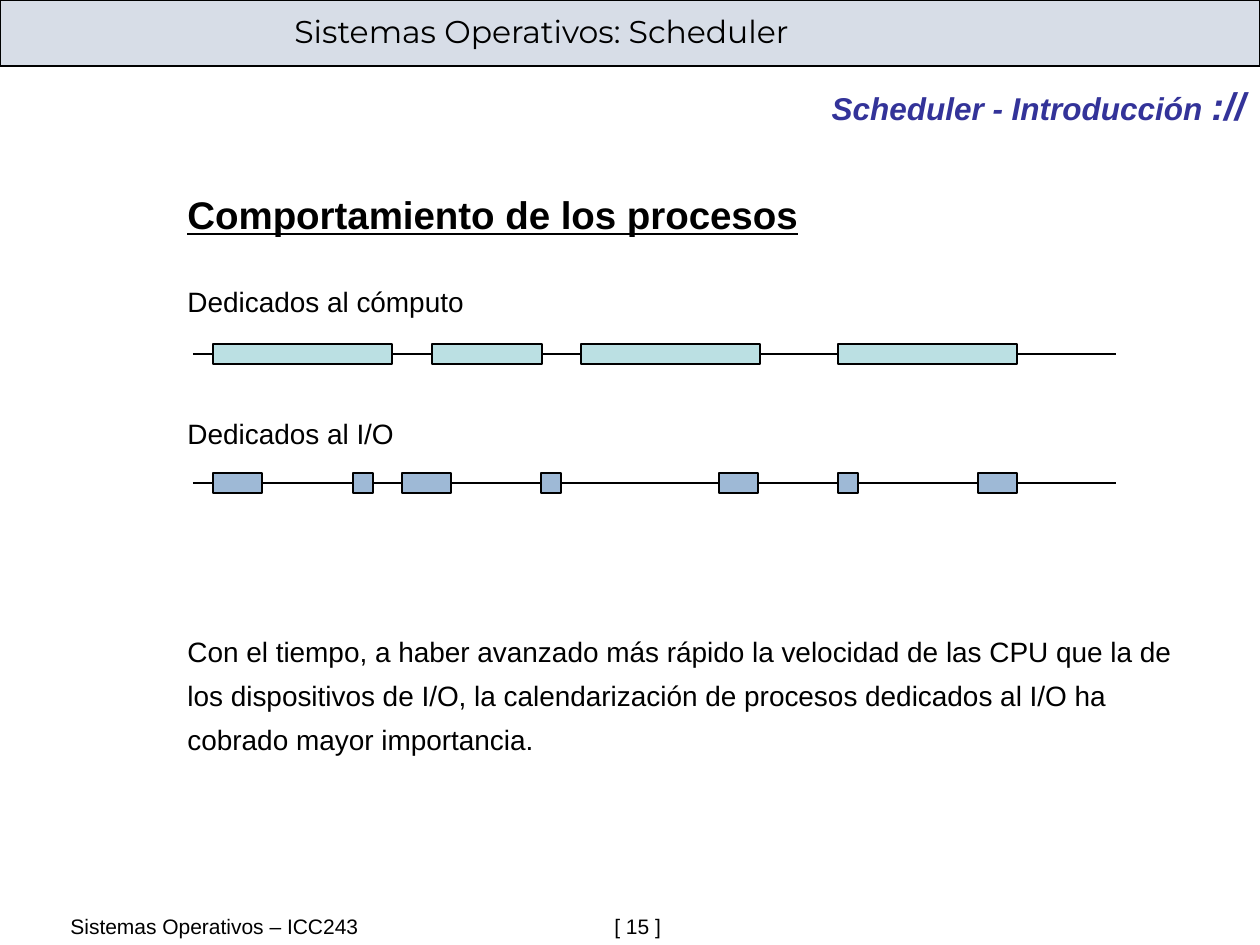
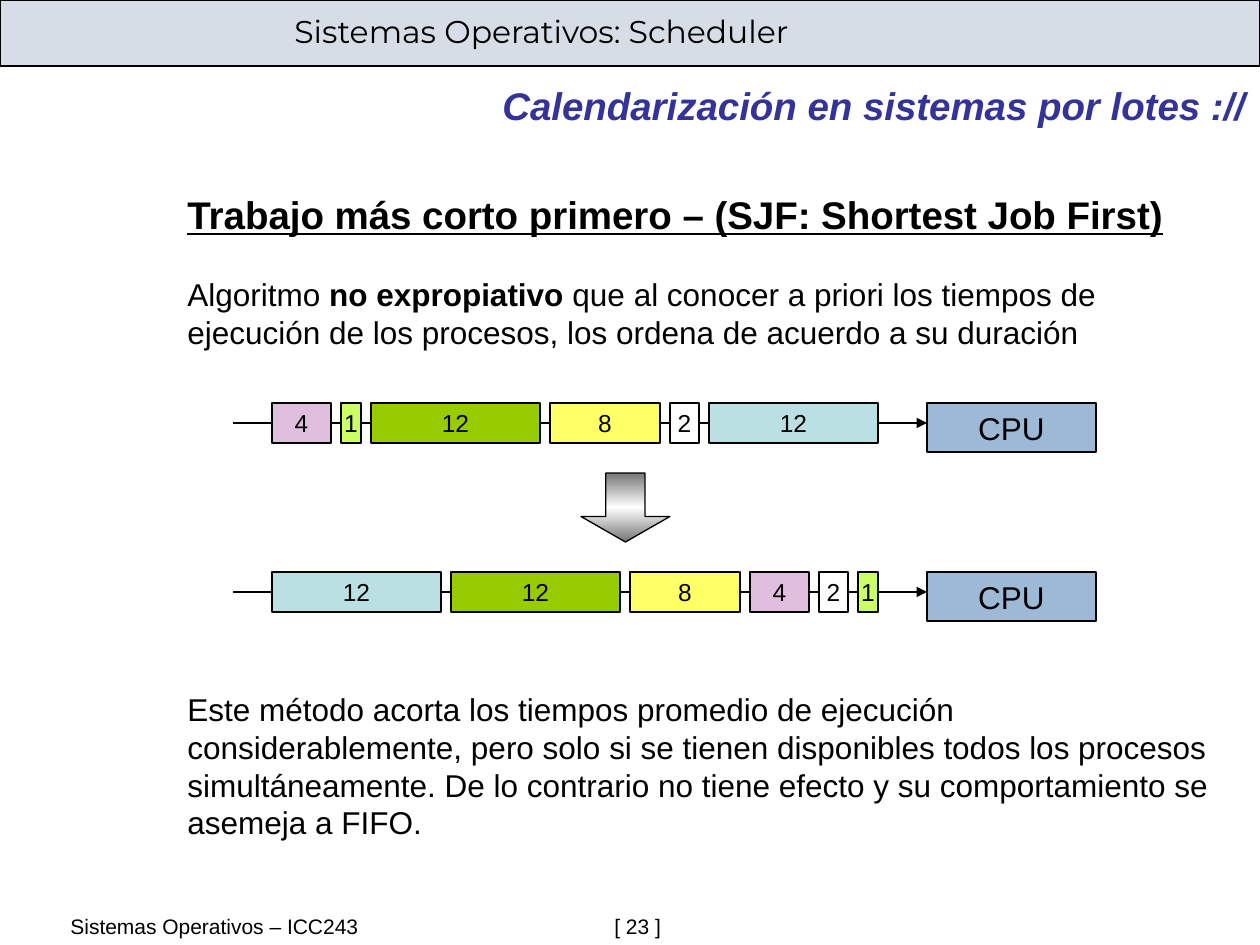
import copy

from lxml import etree
from pptx import Presentation
from pptx import util as u
from pptx.dml.color import RGBColor
from pptx.enum import shapes, text
from pptx.oxml.ns import qn

SCALE = 914400 / 126  # EMU in one px
COLORS = {
    "black": "000000", "title": "333399", "band": "D7DDE7",
    "aqua": "BBE0E3", "blue": "9EB9D6", "white": "FFFFFF",
    "yellow": "FFFF66", "pink": "E0BEDD", "lime": "CCFF66",
    "green": "99CC00", "gray": "767676",
}
COLORS = {name: RGBColor.from_string(value) for name, value in COLORS.items()}


def add_box(page, place, color, label="", size=14, kind=shapes.MSO_SHAPE.RECTANGLE):
    box = page.shapes.add_shape(kind, *[round(v * SCALE) for v in place])
    box.shadow.inherit = False
    box.fill.solid()
    box.fill.fore_color.rgb = COLORS[color]
    box.line.color.rgb = COLORS["black"]
    box.line.width = u.Pt(0.75)
    if label:
        frame = box.text_frame
        frame.text = label
        frame.word_wrap = False
        frame.vertical_anchor = text.MSO_ANCHOR.MIDDLE
        para = frame.paragraphs[0]
        para.alignment = text.PP_ALIGN.CENTER
        font = para.runs[0].font
        font.name, font.size, font.color.rgb = "Arial", u.Pt(size), COLORS["black"]
    return box


def add_line(page, left, right, y, arrow=False):
    ends = [round(v * SCALE) for v in (left, y, right, y)]
    line = page.shapes.add_connector(shapes.MSO_CONNECTOR.STRAIGHT, *ends)
    line.line.color.rgb = COLORS["black"]
    line.line.width = u.Pt(0.75)
    if arrow:
        etree.SubElement(line.line._get_or_add_ln(), qn("a:tailEnd"), type="triangle")
    etree.SubElement(line._element.spPr, qn("a:effectLst"))


deck = Presentation()
deck.slide_width = round(1260 * SCALE)
deck.slide_height = round(945 * SCALE)

# Wording: a paragraph is (space before, line spacing, spans),
# a span is (text, size, style) with style letters b, i, u
contents = [
    {
        "number": 15,
        "title": [("Scheduler - Introducción ", 18, "bi"), ("://", 22, "bi")],
        "body": [
            (0, 1, [("Comportamiento de los procesos", 22, "bu")]),
            (21.5, 1.3, [("Dedicados al cómputo", 16, "")]),
            (50, 1.3, [("Dedicados al I/O", 16, "")]),
            (100, 1.3, [("Con el tiempo, a haber avanzado más rápido la velocidad de "
                         "las CPU que la de los dispositivos de I/O, la calendarización "
                         "de procesos dedicados al I/O ha cobrado mayor importancia.",
                         16, "")]),
        ],
    },
    {
        "number": 23,
        "title": [("Calendarización en sistemas por lotes ://", 22, "bi")],
        "body": [
            (0, 1, [("Trabajo más corto primero – (SJF: Shortest Job First)", 22, "bu")]),
            (21.5, 1, [("Algoritmo ", 18, ""), ("no expropiativo", 18, "b"),
                       (" que al conocer a priori los tiempos de ejecución de los "
                        "procesos, los ordena de acuerdo a su duración", 18, "")]),
            (194, 1, [("Este método acorta los tiempos promedio de ejecución "
                       "considerablemente, pero solo si se tienen disponibles todos los "
                       "procesos simultáneamente. De lo contrario no tiene efecto y su "
                       "comportamiento se asemeja a FIFO.", 18, "")]),
        ],
    },
]

# Band, header, footer, title and body of every slide
pages = []
for content in contents:
    page = deck.slides.add_slide(deck.slide_layouts[6])
    pages.append(page)
    add_box(page, (0, 0, 1260, 66), "band")
    header = [(0, 1, [("Sistemas Operativos: Scheduler", 18, "")])]
    footer = [(0, 1, [(f"Sistemas Operativos – ICC243\t[ {content['number']} ]", 12, "")])]
    title = [(0, 1, content["title"])]
    for role, place, paragraphs in (
        ("header", (282, 6, 973, 50), header),
        ("footer", (58, 907, 1155, 38), footer),
        ("title", (184, 76, 1074, 59), title),
        ("body", (175, 185, 1050, 620), content["body"]),
    ):
        box = page.shapes.add_textbox(*[round(v * SCALE) for v in place])
        frame = box.text_frame
        frame.word_wrap = True
        for index, (before, spacing, spans) in enumerate(paragraphs):
            para = frame.add_paragraph() if index else frame.paragraphs[0]
            if before:
                para.space_before = u.Pt(before)
            para.line_spacing = spacing
            if role == "title":
                para.alignment = text.PP_ALIGN.RIGHT
            if role == "footer":
                tabs = etree.SubElement(para._p.get_or_add_pPr(), qn("a:tabLst"))
                etree.SubElement(tabs, qn("a:tab"), pos=str(round(544 * SCALE)), algn="l")
            for words, size, style in spans:
                span = para.add_run()
                span.text = words
                font = span.font
                font.name = "Montserrat" if role == "header" else "Arial"
                font.size = u.Pt(size)
                font.bold, font.italic, font.underline = (s in style for s in "biu")
                font.color.rgb = COLORS["title" if role == "title" else "black"]

behaviour, batch = pages

# Bursts of compute-bound and I/O-bound processes: (left, width)
for top, color, bursts in (
    (344, "aqua", [(213, 179), (432, 110), (581, 179), (838, 179)]),
    (473, "blue", [(213, 49), (353, 20), (402, 49), (541, 20),
                   (719, 39), (838, 20), (978, 39)]),
):
    add_line(behaviour, 193, 1116, top + 10)
    for left, width in bursts:
        add_box(behaviour, (left, top, width, 20), color)

# Job queues before and after sorting: (duration, colour)
job_widths = {12: 169, 8: 110, 4: 59, 2: 29, 1: 20}
arrivals = [(4, "pink"), (1, "lime"), (12, "green"),
            (8, "yellow"), (2, "white"), (12, "aqua")]
by_duration = sorted(reversed(arrivals), key=lambda job: -job[0])
for top, queue in ((403, arrivals), (572, by_duration)):
    add_line(batch, 233, 927, top + 20, arrow=True)
    left = 272
    for duration, color in queue:
        add_box(batch, (left, top, job_widths[duration], 40), color, str(duration))
        left += job_widths[duration] + 10
    add_box(batch, (927, top, 169, 49), "blue", "CPU", 18)

# Arrow between the queues, shaded gray to white to gray
arrow = add_box(batch, (581, 473, 89, 69), "gray", kind=shapes.MSO_SHAPE.DOWN_ARROW)
arrow.adjustments[0], arrow.adjustments[1] = 0.44, 0.37
arrow.fill.gradient()
arrow.fill.gradient_angle = 90
first_stop = arrow._element.spPr.find(".//" + qn("a:gs"))
first_stop.addnext(copy.deepcopy(first_stop))
for stop, position, color in zip(arrow.fill.gradient_stops, (0, 0.5, 1),
                                 ("gray", "white", "gray")):
    stop.position = position
    stop.color.rgb = COLORS[color]

deck.save("out.pptx")
